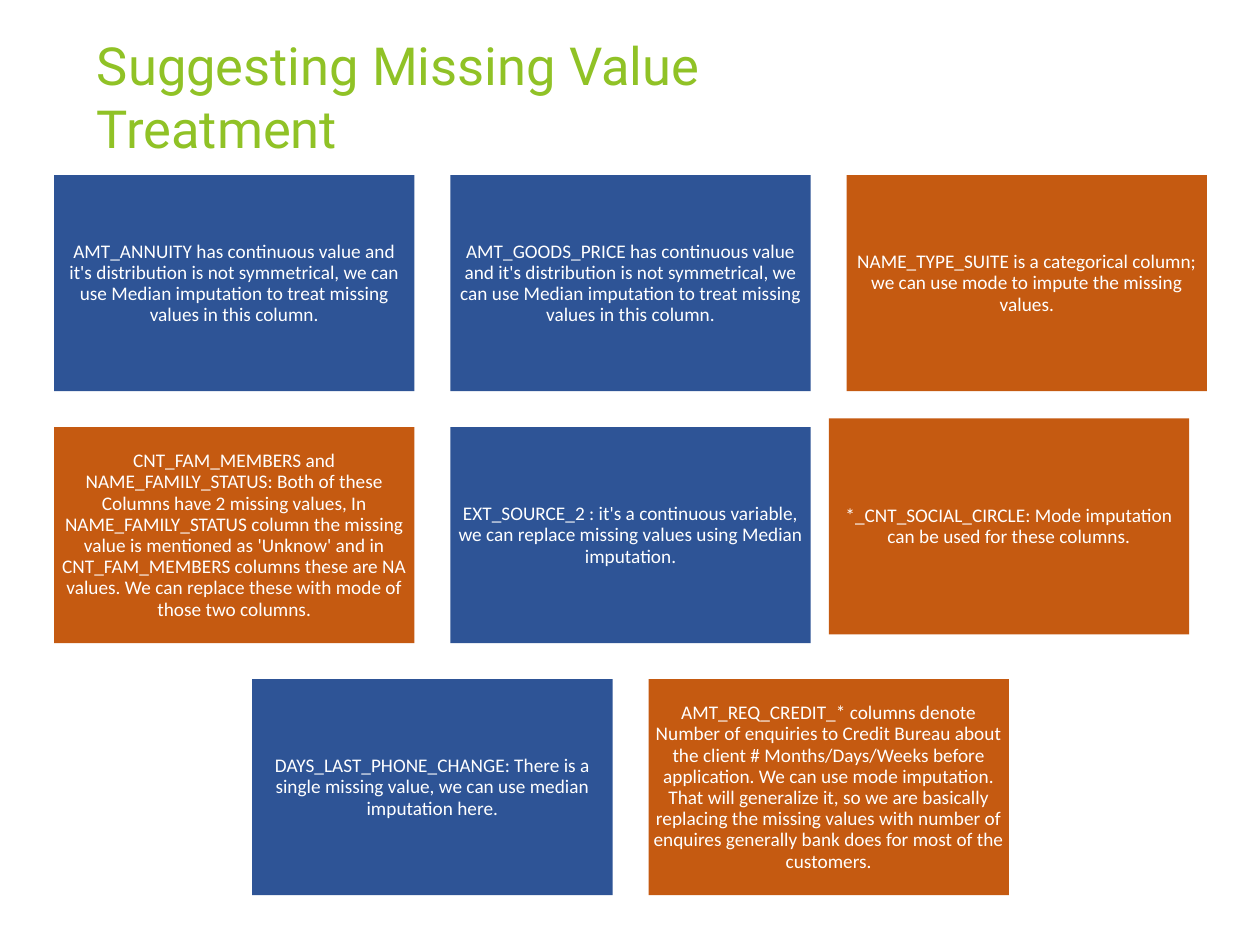
from dataclasses import dataclass

from pptx import Presentation
from pptx.dml.color import RGBColor
from pptx.enum.shapes import MSO_SHAPE
from pptx.enum.text import MSO_ANCHOR, PP_ALIGN
from pptx.util import Inches, Pt


@dataclass(frozen=True)
class Theme:
    title_font: str = "Roboto"
    body_font: str = "Calibri"
    title_size: float = 30
    body_size: float = 11
    body_leading: float = 12.1
    green: str = "90C226"
    blue: str = "2E5496"
    orange: str = "C55A11"
    white: str = "FFFFFF"


THEME = Theme()
PAGE_WIDTH, PAGE_HEIGHT = 10, 7.5

# Card grid: equal gaps between columns and rows
CARD_WIDTH, CARD_HEIGHT, GAP = 2.86, 1.715, 0.285
GRID_LEFT, GRID_TOP = 0.43, 1.39
PADDING, WIDE_PADDING = 0.04, 0.12

# Column, row, fill, side padding, paragraphs
MEDIAN, MODE = THEME.blue, THEME.orange
CARDS = [
    (0, 0, MEDIAN, WIDE_PADDING, [
        "AMT_ANNUITY has continuous value and it's distribution is not symmetrical, "
        "we can use Median imputation to treat missing values in this column."]),
    (1, 0, MEDIAN, PADDING, [
        "AMT_GOODS_PRICE has continuous value and it's distribution is not symmetrical, "
        "we can use Median imputation to treat missing values in this column."]),
    (2, 0, MODE, PADDING, [
        "NAME_TYPE_SUITE is a categorical column; "
        "we can use mode to impute the missing values."]),
    (0, 1, MODE, PADDING, [
        "CNT_FAM_MEMBERS and",
        "NAME_FAMILY_STATUS: Both of these Columns have 2 missing values, In "
        "NAME_FAMILY_STATUS column the missing value is mentioned as 'Unknow' and in "
        "CNT_FAM_MEMBERS columns these are NA values. "
        "We can replace these with mode of those two columns."]),
    (1, 1, MEDIAN, PADDING, [
        "EXT_SOURCE_2 : it's a continuous variable, "
        "we can replace missing values using Median imputation."]),
    # This card sits slightly left of and above its grid cell
    (1.955, 0.965, MODE, PADDING, [
        "*_CNT_SOCIAL_CIRCLE: Mode imputation can be used for these columns."]),
    (0.5, 2, MEDIAN, PADDING, [
        "DAYS_LAST_PHONE_CHANGE: There is a single missing value, "
        "we can use median imputation here."]),
    (1.5, 2, MODE, PADDING, [
        "AMT_REQ_CREDIT_* columns denote Number of enquiries to Credit Bureau about "
        "the client # Months/Days/Weeks before application. We can use mode imputation.",
        "That will generalize it, so we are basically replacing the missing values with "
        "number of enquires generally bank does for most of the customers."]),
]


def set_frame(frame, padding, anchor):
    frame.word_wrap = True
    frame.margin_left = frame.margin_right = Inches(padding)
    frame.margin_top = frame.margin_bottom = 0
    frame.vertical_anchor = anchor


def add_span(para, text, font, size, color):
    span = para.add_run()
    span.text = text
    span.font.name = font
    span.font.size = Pt(size)
    span.font.color.rgb = RGBColor.from_string(color)


def add_title(page, left, top, width, height):
    box = page.shapes.add_textbox(*map(Inches, (left, top, width, height)))
    set_frame(box.text_frame, 0, MSO_ANCHOR.TOP)
    para = box.text_frame.paragraphs[0]
    para.space_before = Pt(1)
    add_span(para, "Suggesting Missing Value Treatment",
             THEME.title_font, THEME.title_size, THEME.green)


def add_card(page, left, top, fill, padding, texts):
    box = page.shapes.add_shape(
        MSO_SHAPE.RECTANGLE,
        *map(Inches, (left, top, CARD_WIDTH, CARD_HEIGHT)))
    box.shadow.inherit = False
    box.fill.solid()
    box.fill.fore_color.rgb = RGBColor.from_string(fill)
    box.line.fill.background()
    frame = box.text_frame
    set_frame(frame, padding, MSO_ANCHOR.MIDDLE)
    for index, text in enumerate(texts):
        para = frame.add_paragraph() if index else frame.paragraphs[0]
        para.alignment = PP_ALIGN.CENTER
        para.line_spacing = Pt(THEME.body_leading)
        add_span(para, text, THEME.body_font, THEME.body_size, THEME.white)


def add_card_grid(page, left, top):
    for column, row, fill, padding, texts in CARDS:
        add_card(page,
                 left + column * (CARD_WIDTH + GAP),
                 top + row * (CARD_HEIGHT + GAP),
                 fill, padding, texts)


def main():
    deck = Presentation()
    deck.slide_width, deck.slide_height = Inches(PAGE_WIDTH), Inches(PAGE_HEIGHT)
    page = deck.slides.add_slide(deck.slide_layouts[6])
    add_title(page, 0.77, 0.26, 6.7, 1)
    add_card_grid(page, GRID_LEFT, GRID_TOP)
    deck.save("out.pptx")


if __name__ == "__main__":
    main()
